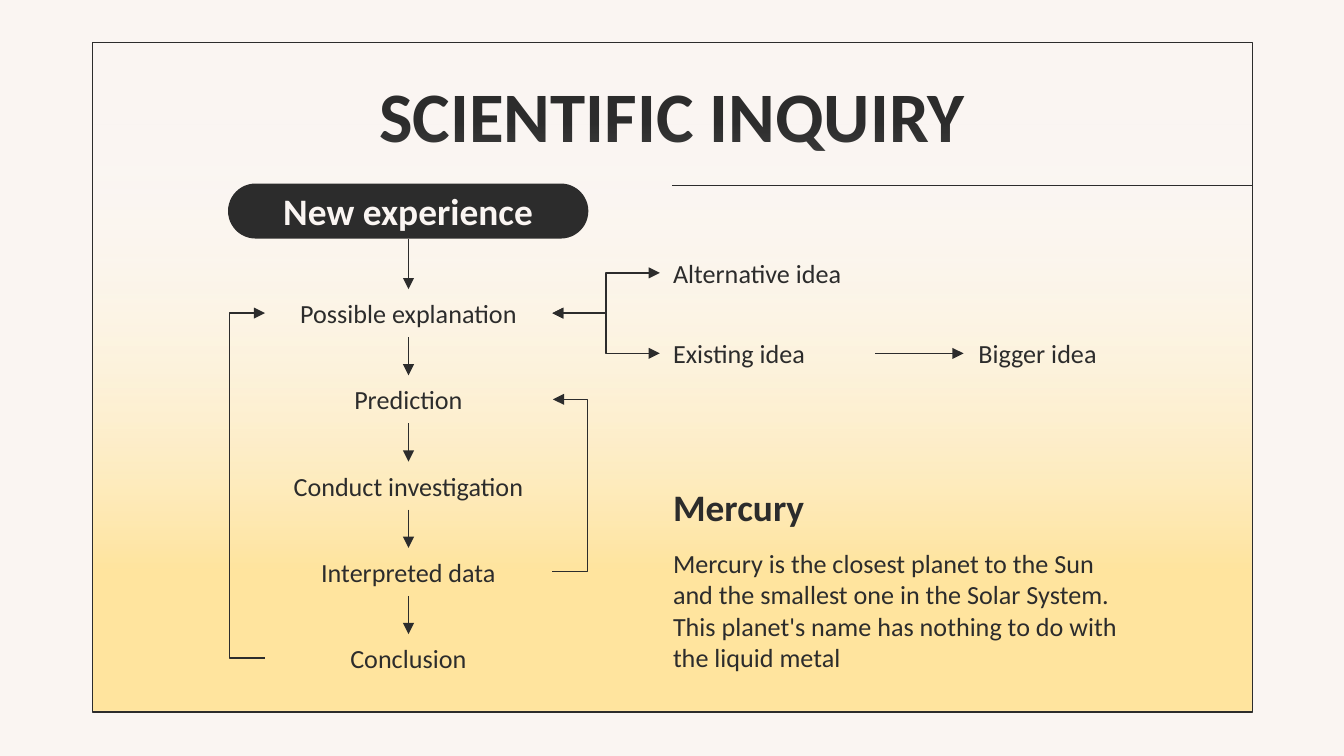
from dataclasses import dataclass
from itertools import pairwise

from lxml import etree
from pptx import Presentation
from pptx import util as u
from pptx.dml.color import RGBColor
from pptx.enum import shapes, text
from pptx.oxml import parse_xml
from pptx.oxml.ns import nsdecls, qn

FONT = "Calibri"
DARK, LIGHT, YELLOW = "2C2C2C", "FAF5F2", "FFE49E"
LABEL_HEIGHT = 0.91
COLUMN_LEFT, COLUMN_WIDTH = 5.0, 5.44
COLUMN_RIGHT = COLUMN_LEFT + COLUMN_WIDTH
COLUMN_CENTER = COLUMN_LEFT + COLUMN_WIDTH / 2
FIRST_STEP_Y, STEP_PITCH = 5.92, 1.63
IDEA_LEFT, IDEA_OFFSET = 12.47, 0.76
LOOP_DEPTH = 0.66
STEPS = ["Possible explanation", "Prediction", "Conduct investigation",
         "Interpreted data", "Conclusion"]


@dataclass
class Label:
    """Text box placed by its top left corner, in centimetres."""
    words: str
    left: float
    top: float
    width: float
    height: float = LABEL_HEIGHT
    size: int = 14
    bold: bool = False
    align: text.PP_ALIGN = text.PP_ALIGN.LEFT


@dataclass
class Link:
    """Line between two points; bend_x makes it an elbow."""
    start: tuple[float, float]
    end: tuple[float, float]
    bend_x: float | None = None
    head: bool = False
    tail: bool = True


def color(value: str) -> RGBColor:
    return RGBColor.from_string(value)


def write(shape, words: str, size: int, bold: bool, align, ink: str = DARK) -> None:
    frame = shape.text_frame
    frame.word_wrap = True
    frame.auto_size = text.MSO_AUTO_SIZE.NONE
    frame.vertical_anchor = text.MSO_ANCHOR.MIDDLE
    frame.margin_left = frame.margin_right = u.Cm(0.25)
    frame.margin_top = frame.margin_bottom = u.Cm(0.25)
    paragraph = frame.paragraphs[0]
    paragraph.alignment = align
    run = paragraph.add_run()
    run.text = words
    run.font.name = FONT
    run.font.size = u.Pt(size)
    run.font.bold = bold
    run.font.color.rgb = color(ink)


def add_label(slide, label: Label) -> None:
    box = slide.shapes.add_textbox(u.Cm(label.left), u.Cm(label.top),
                                   u.Cm(label.width), u.Cm(label.height))
    write(box, label.words, label.size, label.bold, label.align)


def add_box(slide, kind, left: float, top: float, width: float, height: float):
    """Add a preset shape without shadow, fill or line."""
    shape = slide.shapes.add_shape(kind, u.Cm(left), u.Cm(top), u.Cm(width), u.Cm(height))
    shape.shadow.inherit = False
    shape.fill.background()
    shape.line.fill.background()
    return shape


def set_line(line) -> None:
    line.color.rgb = color(DARK)
    line.width = u.Pt(0.75)


def add_link(slide, link: Link) -> None:
    kind = shapes.MSO_CONNECTOR.STRAIGHT if link.bend_x is None else shapes.MSO_CONNECTOR.ELBOW
    (x1, y1), (x2, y2) = link.start, link.end
    connector = slide.shapes.add_connector(kind, u.Cm(x1), u.Cm(y1), u.Cm(x2), u.Cm(y2))
    set_line(connector.line)
    properties = connector._element.spPr
    if link.bend_x is not None:
        share = round((link.bend_x - x1) / (x2 - x1) * 100000)
        guides = properties.find(qn("a:prstGeom")).get_or_add_avLst()
        etree.SubElement(guides, qn("a:gd"), name="adj1", fmla=f"val {share}")
    outline = connector.line._get_or_add_ln()
    for shown, tag in ((link.head, "a:headEnd"), (link.tail, "a:tailEnd")):
        if shown:
            etree.SubElement(outline, qn(tag), type="triangle")
    etree.SubElement(properties, qn("a:effectLst"))


def fade_down(shape) -> None:
    """Fill from transparent white at the top to yellow at the bottom."""
    properties = shape._element.spPr
    properties.replace(properties.find(qn("a:noFill")), parse_xml(
        f'<a:gradFill {nsdecls("a")} rotWithShape="1"><a:gsLst>'
        '<a:gs pos="0"><a:srgbClr val="FFFFFF"><a:alpha val="0"/></a:srgbClr></a:gs>'
        f'<a:gs pos="76000"><a:srgbClr val="{YELLOW}"/></a:gs>'
        f'<a:gs pos="100000"><a:srgbClr val="{YELLOW}"/></a:gs>'
        '</a:gsLst><a:lin ang="5400000" scaled="0"/></a:gradFill>'))


def add_backdrop(slide) -> None:
    slide.background.fill.solid()
    slide.background.fill.fore_color.rgb = color(LIGHT)
    rectangle = shapes.MSO_SHAPE.RECTANGLE
    fade_down(add_box(slide, rectangle, 1.75, 2.34, 21.92, 11.12))
    set_line(add_box(slide, rectangle, 1.75, 0.81, 21.92, 12.65).line)
    add_link(slide, Link((12.7, 3.51), (23.67, 3.51), tail=False))


def add_title(slide) -> None:
    title = slide.shapes.title
    title.left, title.top = u.Cm(2.03), u.Cm(1.35)
    title.width, title.height = u.Cm(21.36), u.Cm(1.6)
    write(title, "SCIENTIFIC INQUIRY", 38, True, text.PP_ALIGN.CENTER)


def add_start(slide) -> None:
    pill = add_box(slide, shapes.MSO_SHAPE.ROUNDED_RECTANGLE, 4.31, 3.47, 6.81, 1.04)
    pill.adjustments[0] = 0.5
    pill.fill.solid()
    pill.fill.fore_color.rgb = color(DARK)
    write(pill, "New experience", 20, True, text.PP_ALIGN.CENTER, LIGHT)


def flow_links(centers: list[float]) -> list[Link]:
    half = LABEL_HEIGHT / 2
    explanation, prediction, _, data, conclusion = centers
    links = [Link((COLUMN_CENTER, 4.52), (COLUMN_CENTER, explanation - half))]
    links += [Link((COLUMN_CENTER, upper + half), (COLUMN_CENTER, lower - half))
              for upper, lower in pairwise(centers)]
    # The ends of a loop differ slightly in x, so that its bend has a width to scale.
    links += [Link((x, low), (x + 0.01, high), bend_x)
              for x, low, high, bend_x in (
                  (COLUMN_LEFT, conclusion, explanation, COLUMN_LEFT - LOOP_DEPTH),
                  (COLUMN_RIGHT, data, prediction, COLUMN_RIGHT + LOOP_DEPTH))]
    links += [Link((COLUMN_RIGHT, explanation), (IDEA_LEFT, explanation + offset),
                   (COLUMN_RIGHT + IDEA_LEFT) / 2, head=True)
              for offset in (-IDEA_OFFSET, IDEA_OFFSET)]
    bigger_y = explanation + IDEA_OFFSET
    return links + [Link((16.54, bigger_y), (18.21, bigger_y))]


def flow_labels(centers: list[float]) -> list[Label]:
    half = LABEL_HEIGHT / 2
    labels = [Label(step, COLUMN_LEFT, center - half, COLUMN_WIDTH, align=text.PP_ALIGN.CENTER)
              for step, center in zip(STEPS, centers)]
    idea_top = centers[0] - half
    return labels + [
        Label("Alternative idea", IDEA_LEFT, idea_top - IDEA_OFFSET, 4.06),
        Label("Existing idea", IDEA_LEFT, idea_top + IDEA_OFFSET, 4.06),
        Label("Bigger idea", 18.24, idea_top + IDEA_OFFSET, 3.68),
        Label("Mercury", IDEA_LEFT, 9.12, 7.34, size=20, bold=True),
        Label("Mercury is the closest planet to the Sun and the smallest one in the Solar System. "
              "This planet's name has nothing to do with the liquid metal",
              IDEA_LEFT, 10.26, 9.02, 2.54),
    ]


def main() -> None:
    presentation = Presentation()
    presentation.slide_width, presentation.slide_height = u.Cm(25.4), u.Cm(14.29)
    slide = presentation.slides.add_slide(presentation.slide_layouts.get_by_name("Title Only"))
    centers = [FIRST_STEP_Y + STEP_PITCH * index for index in range(len(STEPS))]
    add_backdrop(slide)
    add_title(slide)
    add_start(slide)
    for link in flow_links(centers):
        add_link(slide, link)
    for label in flow_labels(centers):
        add_label(slide, label)
    presentation.save("out.pptx")


if __name__ == "__main__":
    main()
